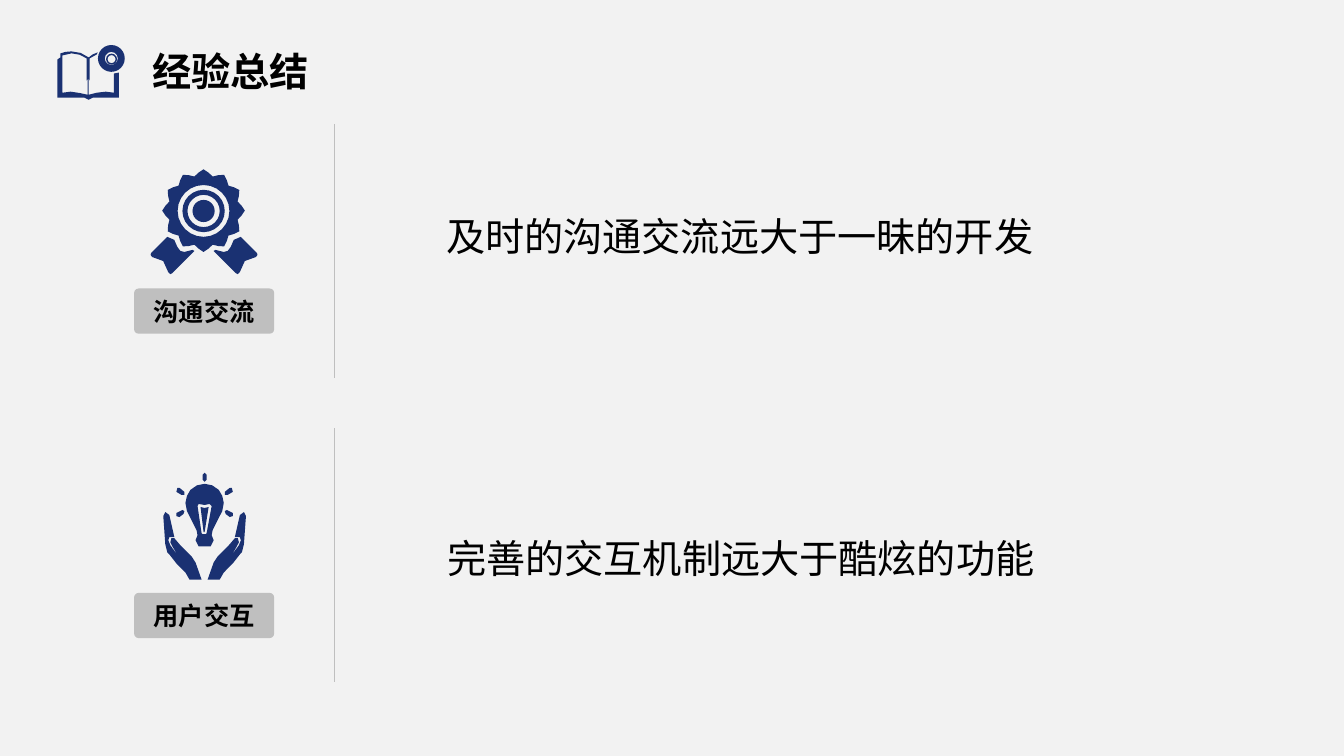
from math import cos, pi, sin

from lxml import etree
from pptx import Presentation
from pptx.dml.color import RGBColor
from pptx.enum.shapes import MSO_CONNECTOR, MSO_SHAPE
from pptx.enum.text import MSO_ANCHOR, MSO_AUTO_SIZE, PP_ALIGN
from pptx.oxml.ns import qn
from pptx.util import Cm, Pt

LINE = MSO_CONNECTOR.STRAIGHT
ROUND, DONUT, OVAL = MSO_SHAPE.ROUNDED_RECTANGLE, MSO_SHAPE.DONUT, MSO_SHAPE.OVAL
MIDDLE, BOTTOM = MSO_ANCHOR.MIDDLE, MSO_ANCHOR.BOTTOM
LEFT, CENTER, RIGHT = PP_ALIGN.LEFT, PP_ALIGN.CENTER, PP_ALIGN.RIGHT
FIXED = MSO_AUTO_SIZE.NONE

COLORS = {"back": "F2F2F2", "navy": "1A3172", "gray": "BFBFBF", "ink": "000000"}
FONT = "Arial"
UNIT = 0.0254

TITLE = "经验总结"
ROWS = [
    ("沟通交流", "及时的沟通交流远大于一昧的开发", 5.13),
    ("用户交互", "完善的交互机制远大于酷炫的功能", 5.16),
]
TOP, PITCH = 3.12, 7.67
TEXT_TOP, TEXT_PITCH = 4.45, 8.1

PAGE = [(71, 53), (62, 55), (62, 92), (70, 91), (79, 92.3), (87, 94), (87, 78),
        (86, 80), (86, 58), (79, 54.3)]
COVER = [(71, 51), (80, 52.5), (88, 57), (92, 54), (97, 52), (96, 54), (89, 58),
         (89, 80), (88, 78), (88, 94), (96, 92), (105, 91), (113, 92), (113, 73),
         (118, 72), (118, 97), (92, 97), (88, 99), (84, 97), (57, 97), (57, 59),
         (60, 57), (60, 53), (65, 51.5)]
RIBBON = [(166, 235), (173, 238), (176, 245), (179, 249), (183, 250), (191, 248),
          (193, 249), (171, 271), (169, 272), (167, 270), (162, 259), (151, 255),
          (149.5, 253), (150, 251)]
HAND = [(164, 508), (168, 511), (173, 533), (168, 533), (167, 536), (169, 541),
        (177, 552), (171, 542), (169, 538), (170, 534), (173, 534), (179, 541),
        (190, 552), (194, 558), (200, 575), (188, 575), (184, 568), (175, 559),
        (168, 550), (166, 548), (164, 540), (162, 512)]
RAYS = [
    [(181, 506), (183, 507), (182, 510), (178, 513), (175, 512), (175, 509)],
    [(176, 484), (178, 484), (183, 488), (183, 491), (180, 491), (175, 488)],
]
BEAM = [(203, 469), (205, 471), (205, 476), (203, 478), (201, 476), (201, 471)]
BULB = [(203, 480), (195.5, 481.5), (189, 486), (185.5, 492), (184, 499),
        (185.5, 507), (190, 516), (195, 526), (196, 531), (194, 536), (197, 542)]
CORE = [(197, 500), (196, 502), (200, 529), (201, 530), (204, 530), (205, 529),
        (210, 502), (208, 500), (203, 501)]
WIRE = [(207, 503), (203, 528), (202, 528), (199, 503), (203, 504)]


def wheel(x, y, size, wave, count):
    turns = [2 * pi * n / count for n in range(count)]
    return [(x + (size + wave * cos(12 * t)) * sin(t),
             y - (size + wave * cos(12 * t)) * cos(t)) for t in turns]


def flip(points, axis):
    return [(2 * axis - x, y) for x, y in points]


BOOK = [PAGE, COVER]
MEDAL = [wheel(202, 209, 38, 3, 48), wheel(202, 209.3, 25.7, 0, 24),
         RIBBON, flip(RIBBON, 202.5)]
IDEA = [BULB + flip(BULB, 203)[:0:-1], CORE, WIRE, BEAM]
for part in [HAND] + RAYS:
    IDEA += [part, flip(part, 203)]

RINGS = [(110.5, 58, 13.3, 6.5), (110.7, 58.7, 5.5, 4),
         (202, 209.3, 21, 16), (202, 209.3, 11, 0)]


def color(name):
    return RGBColor.from_string(COLORS[name])


def paint(shape, name):
    shape.shadow.inherit = False
    shape.fill.solid()
    shape.fill.fore_color.rgb = color(name)
    shape.line.fill.background()


def icon(parts):
    pen = None
    for part in parts:
        spots = [(Cm(x * UNIT), Cm(y * UNIT)) for x, y in part]
        if pen is None:
            pen = slide.shapes.build_freeform(*spots[0], scale=1.0)
        else:
            pen.move_to(*spots[0])
        pen.add_line_segments(spots[1:], close=True)
    paint(pen.convert_to_shape(), "navy")


def write(shape, text, size, bold, align, anchor=MIDDLE, wrap=True):
    frame = shape.text_frame
    frame.text = text
    frame.word_wrap = wrap
    frame.auto_size = FIXED
    frame.vertical_anchor = anchor
    para = frame.paragraphs[0]
    para.alignment = align
    para.font.name = FONT
    para.font.size = Pt(size)
    para.font.bold = bold
    para.font.color.rgb = color("ink")
    return para


deck = Presentation()
deck.slide_width, deck.slide_height = Cm(33.87), Cm(19.05)
slide = deck.slides.add_slide(deck.slide_layouts[5])
slide.background.fill.solid()
slide.background.fill.fore_color.rgb = color("back")

title = slide.shapes.title
title.left, title.top, title.width, title.height = Cm(3.58), Cm(0.66), Cm(30.15), Cm(1.85)
write(title, TITLE, 28, True, LEFT, BOTTOM).line_spacing = 0.9

for parts in (BOOK, MEDAL, IDEA):
    icon(parts)

for x, y, size, hole in RINGS:
    side = Cm(2 * size * UNIT)
    disc = slide.shapes.add_shape(
        DONUT if hole else OVAL, Cm((x - size) * UNIT), Cm((y - size) * UNIT), side, side)
    if hole:
        disc.adjustments[0] = (size - hole) / (2 * size)
    paint(disc, "navy")

for n, (name, text, left) in enumerate(ROWS):
    top = TOP + n * PITCH
    label = slide.shapes.add_shape(ROUND, Cm(3.38), Cm(top + 4.15), Cm(3.53), Cm(1.14))
    label.adjustments[0] = 0.1
    paint(label, "gray")
    write(label, name, 18, True, CENTER, wrap=False)

    rule = slide.shapes.add_connector(LINE, Cm(8.43), Cm(top), Cm(8.43), Cm(top + 6.4))
    rule.line.color.rgb = color("gray")
    rule.line.width = Pt(0.25)
    etree.SubElement(rule._element.spPr, qn("a:effectLst"))

    box = slide.shapes.add_textbox(
        Cm(left), Cm(TEXT_TOP + n * TEXT_PITCH), Cm(21.16), Cm(3))
    write(box, text, 28, False, RIGHT)

deck.save("out.pptx")
